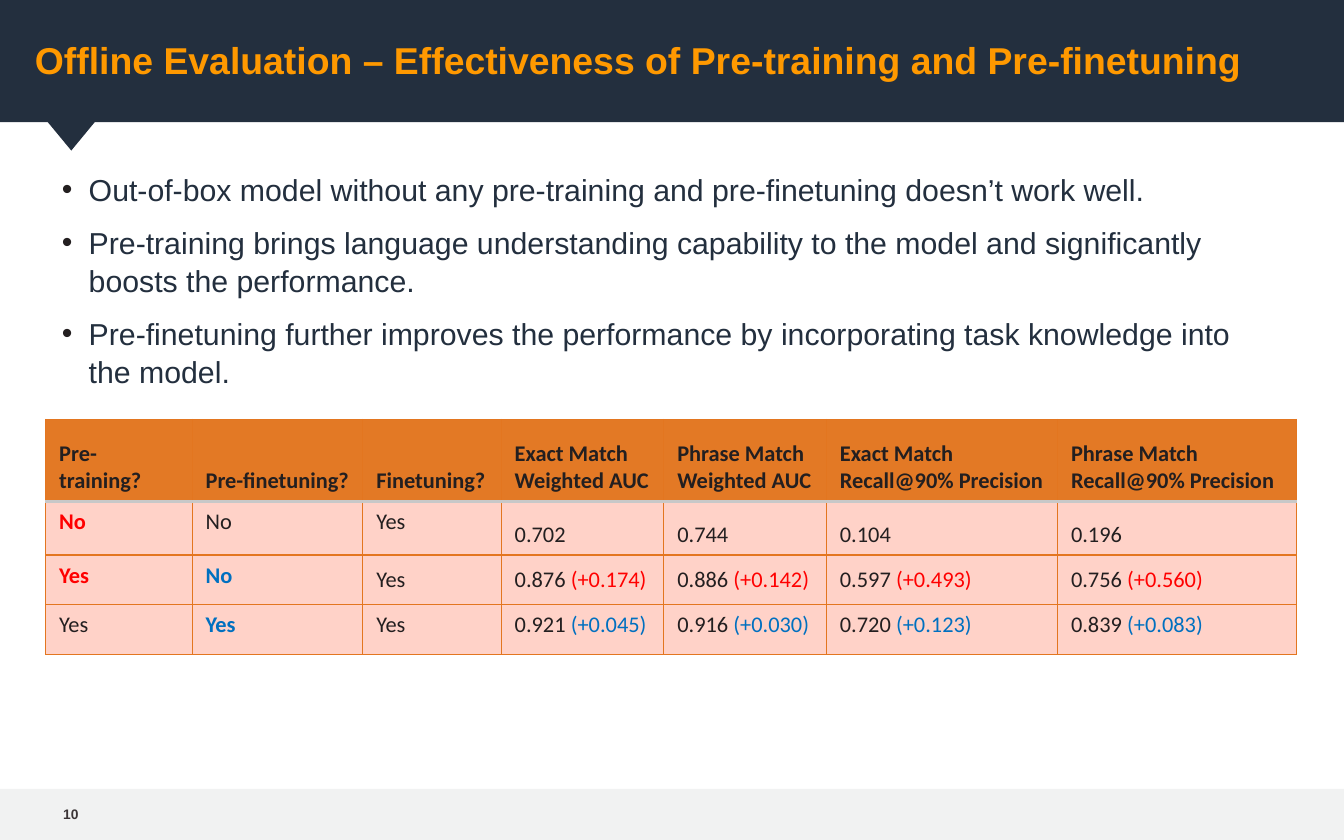
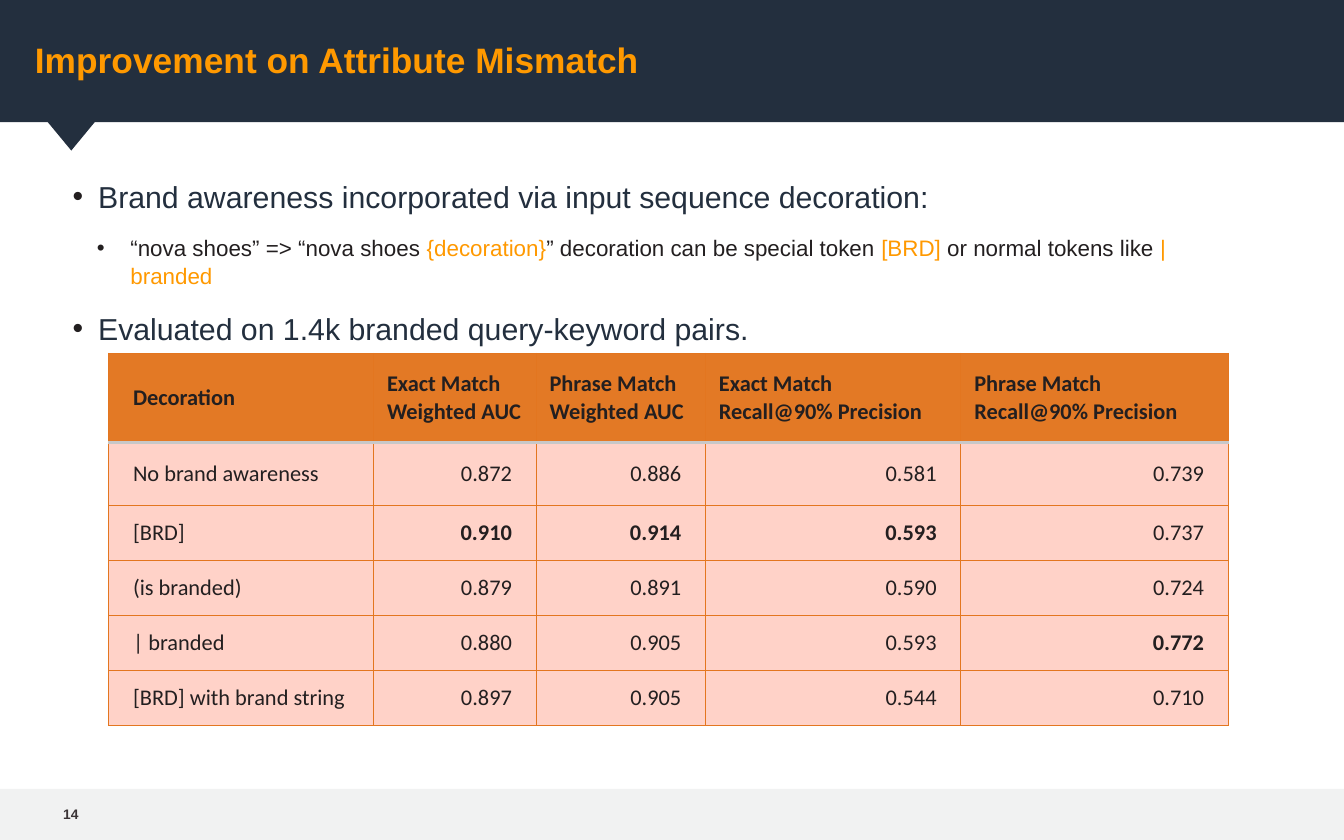
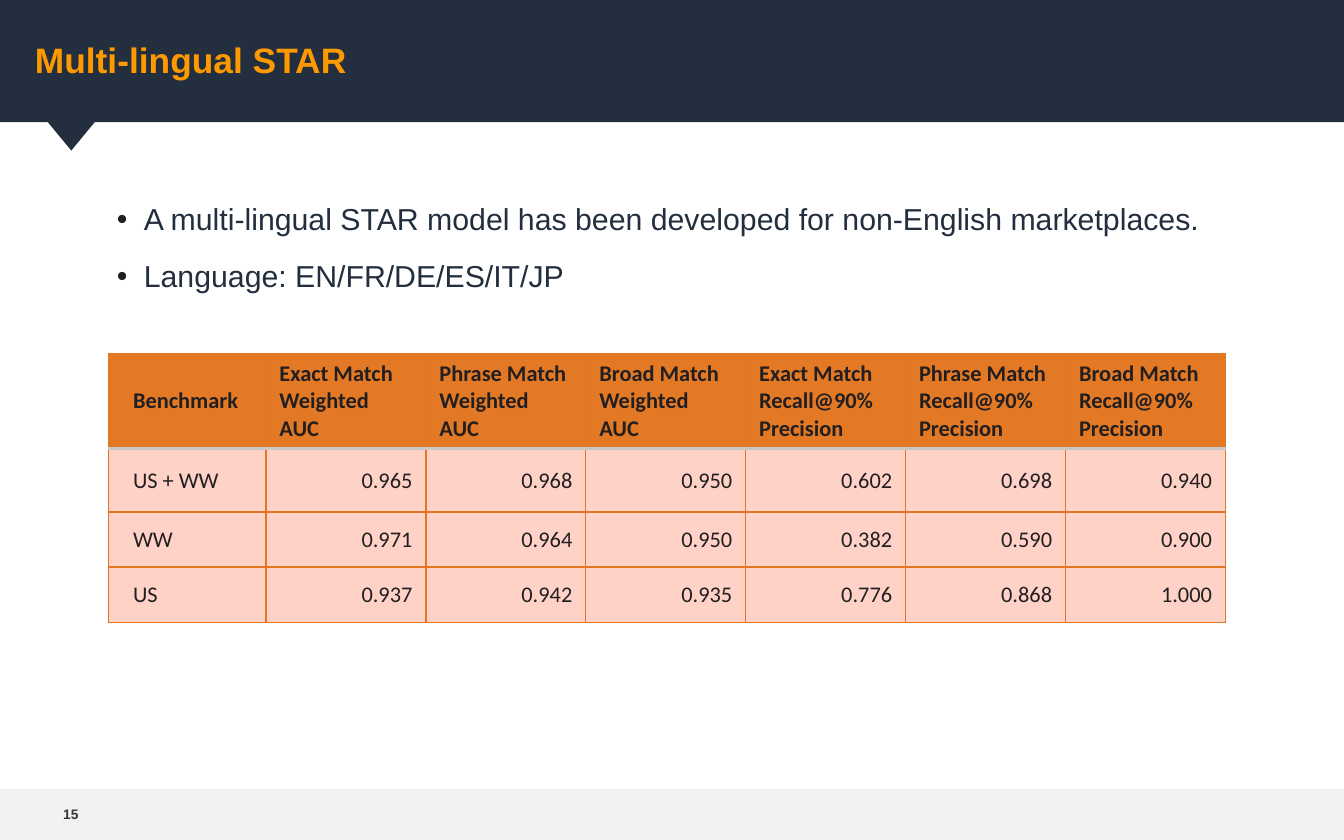
from dataclasses import dataclass

from lxml import etree
from pptx import Presentation
from pptx.dml.color import RGBColor
from pptx.enum.shapes import MSO_SHAPE
from pptx.enum.text import MSO_ANCHOR, MSO_AUTO_SIZE, PP_ALIGN
from pptx.oxml.ns import qn
from pptx.util import Inches, Pt

TOP, MIDDLE, BOTTOM = MSO_ANCHOR.TOP, MSO_ANCHOR.MIDDLE, MSO_ANCHOR.BOTTOM
LEFT, RIGHT = PP_ALIGN.LEFT, PP_ALIGN.RIGHT
RECTANGLE, TRIANGLE = MSO_SHAPE.RECTANGLE, MSO_SHAPE.ISOSCELES_TRIANGLE
NO_AUTOFIT = MSO_AUTO_SIZE.NONE


@dataclass(frozen=True)
class Theme:
    navy: str = "232F3E"
    amber: str = "FF9900"
    ink: str = "231F20"
    footer: str = "F1F2F2"
    number: str = "3B3436"
    header: str = "E37925"
    border: str = "E37620"
    header_rule: str = "C8C8C8"
    cell: str = "FFD2C8"
    red: str = "FF0000"
    blue: str = "0070C0"
    text_font: str = "Arial"
    table_font: str = "Calibri"
    title_size: float = 18.9
    wide_title_size: float = 20
    body_size: float = 16.2
    small_size: float = 12
    number_size: float = 7.4


@dataclass(frozen=True)
class Span:
    text: str
    color: str = ""
    bold: bool = False


THEME = Theme()


def gains(pairs, color):
    """Cells holding a value followed by its coloured change."""
    return [[Span(value + " "), Span(f"({change})", color)] for value, change in pairs]


def bolded(*texts):
    return [Span(text, bold=True) for text in texts]


class SlideBuilder:
    def __init__(self, deck, theme):
        self.deck, self.theme, self.page = deck, theme, None

    # Shared frame: bands, pointer and page number
    def new_page(self, number):
        theme = self.theme
        self.page = self.deck.slides.add_slide(self.deck.slide_layouts[1])
        self.back_shape(RECTANGLE, 0, 5.87, 10, 0.38, theme.footer)
        self.back_shape(RECTANGLE, 0, 0, 10, 0.91, theme.navy)
        self.back_shape(TRIANGLE, 0.34, 0.89, 0.38, 0.23, theme.navy).rotation = 180
        box = self.page.shapes.add_textbox(
            Inches(0.34), Inches(5.86), Inches(0.39), Inches(0.39))
        self.frame(box, 0.13, MIDDLE)
        para = box.text_frame.paragraphs[0]
        self.set_text(para, str(number), theme.text_font, theme.number_size,
                      theme.number, True)

    def back_shape(self, kind, left, top, width, height, color):
        shape = self.page.shapes.add_shape(
            kind, Inches(left), Inches(top), Inches(width), Inches(height))
        shape.shadow.inherit = False
        shape.fill.solid()
        shape.fill.fore_color.rgb = RGBColor.from_string(color)
        shape.line.fill.background()
        shape.element.getparent().insert(2, shape.element)
        return shape

    def frame(self, box, left_inset, anchor):
        frame = box.text_frame
        frame.word_wrap = True
        frame.auto_size = NO_AUTOFIT
        frame.vertical_anchor = anchor
        frame.margin_left, frame.margin_right = Inches(left_inset), Inches(0.13)
        frame.margin_top = frame.margin_bottom = Inches(0.07)

    def place(self, box, left, top, width, height):
        box.left, box.top = Inches(left), Inches(top)
        box.width, box.height = Inches(width), Inches(height)

    # Text: a string, a span or a list of spans
    def set_text(self, para, content, font, size, color, bold=False):
        spans = content if isinstance(content, list) else [content]
        spans = [Span(span) if isinstance(span, str) else span for span in spans]
        para.font.name, para.font.size = font, Pt(size)
        para.font.bold = bold or all(span.bold for span in spans)
        para.font.color.rgb = RGBColor.from_string(color)
        for span in spans:
            run = para.add_run()
            run.text = span.text
            if span.color:
                run.font.color.rgb = RGBColor.from_string(span.color)

    def title(self, text, size=None, width=9):
        box = self.page.shapes.title
        self.place(box, 0.26, -0.08, width, 1.04)
        self.frame(box, 0, MIDDLE)
        para = box.text_frame.paragraphs[0]
        para.alignment = LEFT
        self.set_text(para, text, self.theme.text_font, size or self.theme.title_size,
                      self.theme.amber, True)

    # Each item is (level, content)
    def bullets(self, area, items, indent=0.54, hang=0.2, gap=10):
        theme = self.theme
        box = self.page.placeholders[1]
        self.place(box, *area)
        self.frame(box, 0, TOP)
        for index, (level, content) in enumerate(items):
            frame = box.text_frame
            para = frame.add_paragraph() if index else frame.paragraphs[0]
            para.level = level
            self.bullet(para, 0.44 if level else indent, 0.25 if level else hang)
            para.line_spacing, para.space_before, para.space_after = 1.05, Pt(gap), Pt(0)
            self.set_text(para, content, theme.text_font,
                          theme.small_size if level else theme.body_size,
                          theme.ink if level else theme.navy)

    def bullet(self, para, indent, hang):
        props = para._p.get_or_add_pPr()
        props.set("marL", str(Inches(indent)))
        props.set("indent", str(-Inches(hang)))
        color = etree.SubElement(props, qn("a:buClr"))
        etree.SubElement(color, qn("a:srgbClr"), val=self.theme.ink)
        etree.SubElement(props, qn("a:buFont"), typeface=self.theme.text_font)
        etree.SubElement(props, qn("a:buChar"), char="•")

    # Tables: anchors is a grid, is_wide tells which cells have wide insets
    def table(self, left, top, widths, heights, rows, is_wide, anchors=None, numeric=True):
        theme = self.theme
        table = self.page.shapes.add_table(
            len(rows), len(widths), Inches(left), Inches(top),
            Inches(sum(widths)), Inches(sum(heights))).table
        table.horz_banding = False
        for column, width in zip(table.columns, widths):
            column.width = Inches(width)
        for row, height in zip(table.rows, heights):
            row.height = Inches(height)
        for r, contents in enumerate(rows):
            for c, content in enumerate(contents):
                cell = table.cell(r, c)
                self.borders(cell, r)
                cell.fill.solid()
                cell.fill.fore_color.rgb = RGBColor.from_string(
                    theme.cell if r else theme.header)
                cell.vertical_anchor = anchors[r][c] if anchors else MIDDLE
                wide = is_wide(r, c)
                cell.margin_left = cell.margin_right = Inches(0.18 if wide else 0.1)
                cell.margin_top = cell.margin_bottom = Inches(0.09 if wide else 0.05)
                para = cell.text_frame.paragraphs[0]
                para.alignment = RIGHT if numeric and r and c else LEFT
                self.set_text(para, content, theme.table_font, theme.small_size,
                              theme.ink, r == 0)

    def borders(self, cell, row):
        theme = self.theme
        props = cell._tc.get_or_add_tcPr()
        for side in "LRTB":
            under_header = (row, side) in ((0, "B"), (1, "T"))
            line = etree.SubElement(props, qn("a:ln" + side),
                                    w=str(Pt(2 if under_header else 0.75)))
            fill = etree.SubElement(line, qn("a:solidFill"))
            etree.SubElement(fill, qn("a:srgbClr"),
                             val=theme.header_rule if under_header else theme.border)


def measures(metric, *matches):
    return [f"{match} Match {metric}" for match in matches]


AUC, RECALL = "Weighted AUC", "Recall@90% Precision"
PAIR = ("Exact", "Phrase")
TRIO = PAIR + ("Broad",)


def training_page(builder):
    red, blue = THEME.red, THEME.blue
    builder.new_page(10)
    builder.title("Offline Evaluation – Effectiveness of Pre-training and Pre-finetuning",
                  THEME.wide_title_size, 9.39)
    builder.bullets((0.12, 1.19, 9.39, 1.76), [
        (0, "Out-of-box model without any pre-training and pre-finetuning doesn’t work well."),
        (0, "Pre-training brings language understanding capability to the model and "
            "significantly boosts the performance."),
        (0, "Pre-finetuning further improves the performance by incorporating task "
            "knowledge into the model."),
    ], gap=8)
    rows = [
        ["Pre-training?", "Pre-finetuning?", "Finetuning?",
         *measures(AUC, *PAIR), *measures(RECALL, *PAIR)],
        [Span("No", red, True), "No", "Yes", "0.702", "0.744", "0.104", "0.196"],
        [Span("Yes", red, True), Span("No", blue, True), "Yes",
         *gains([("0.876", "+0.174"), ("0.886", "+0.142"),
                 ("0.597", "+0.493"), ("0.756", "+0.560")], red)],
        ["Yes", Span("Yes", blue, True), "Yes",
         *gains([("0.921", "+0.045"), ("0.916", "+0.030"),
                 ("0.720", "+0.123"), ("0.839", "+0.083")], blue)],
    ]
    anchors = [[BOTTOM] * 7, [TOP] * 3 + [BOTTOM] * 4, [TOP] * 2 + [MIDDLE] * 5, [TOP] * 7]
    builder.table(0.34, 3.12, [1.09, 1.27, 1.03, 1.21, 1.21, 1.72, 1.78],
                  [0.61, 0.4, 0.37, 0.37], rows, lambda r, c: False, anchors, numeric=False)


def attribute_page(builder):
    amber = THEME.amber
    builder.new_page(14)
    builder.title("Improvement on Attribute Mismatch")
    builder.bullets((0.53, 1.24, 8.9, 4.18), [
        (0, "Brand awareness incorporated via input sequence decoration:"),
        (1, [Span("“nova shoes” => “nova shoes "), Span("{decoration}", amber),
             Span("” decoration can be special token "), Span("[BRD]", amber),
             Span(" or normal tokens like "), Span("| branded", amber)]),
        (0, "Evaluated on 1.4k branded query-keyword pairs."),
    ], indent=0.2, hang=0.19)
    rows = [
        ["Decoration", *measures(AUC, *PAIR), *measures(RECALL, *PAIR)],
        ["No brand awareness", "0.872", "0.886", "0.581", "0.739"],
        ["[BRD]", *bolded("0.910", "0.914", "0.593"), "0.737"],
        ["(is branded)", "0.879", "0.891", "0.590", "0.724"],
        ["| branded", "0.880", "0.905", "0.593", *bolded("0.772")],
        ["[BRD] with brand string", "0.897", "0.905", "0.544", "0.710"],
    ]
    builder.table(0.81, 2.63, [1.97, 1.21, 1.26, 1.9, 1.99], [0.66, 0.47] + [0.41] * 4,
                  rows, lambda r, c: r > 0 or c == 0)


def language_page(builder):
    builder.new_page(15)
    builder.title("Multi-lingual STAR")
    builder.bullets((0.53, 1.41, 8.9, 4.18), [
        (0, "A multi-lingual STAR model has been developed for non-English marketplaces."),
        (0, "Language: EN/FR/DE/ES/IT/JP"),
    ])
    rows = [
        ["Benchmark", *measures(AUC, *TRIO), *measures(RECALL, *TRIO)],
        ["US + WW", "0.965", "0.968", "0.950", "0.602", "0.698", "0.940"],
        ["WW", "0.971", "0.964", "0.950", "0.382", "0.590", "0.900"],
        ["US", "0.937", "0.942", "0.935", "0.776", "0.868", "1.000"],
    ]
    builder.table(0.81, 2.63, [1.17] + [1.19] * 6, [0.66, 0.47, 0.41, 0.41],
                  rows, lambda r, c: c == 0)


def main():
    deck = Presentation()
    deck.slide_width, deck.slide_height = Inches(10), Inches(6.25)
    builder = SlideBuilder(deck, THEME)
    training_page(builder)
    attribute_page(builder)
    language_page(builder)
    deck.save("out.pptx")


if __name__ == "__main__":
    main()
